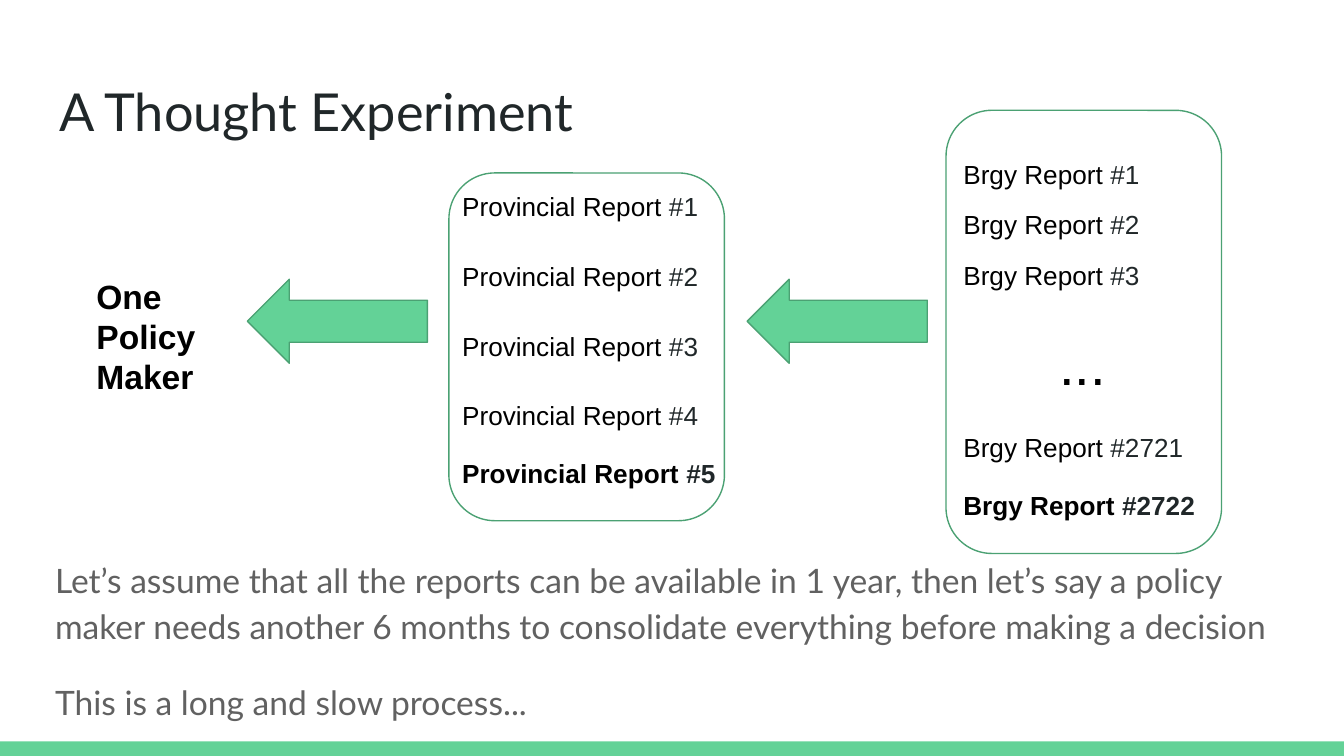
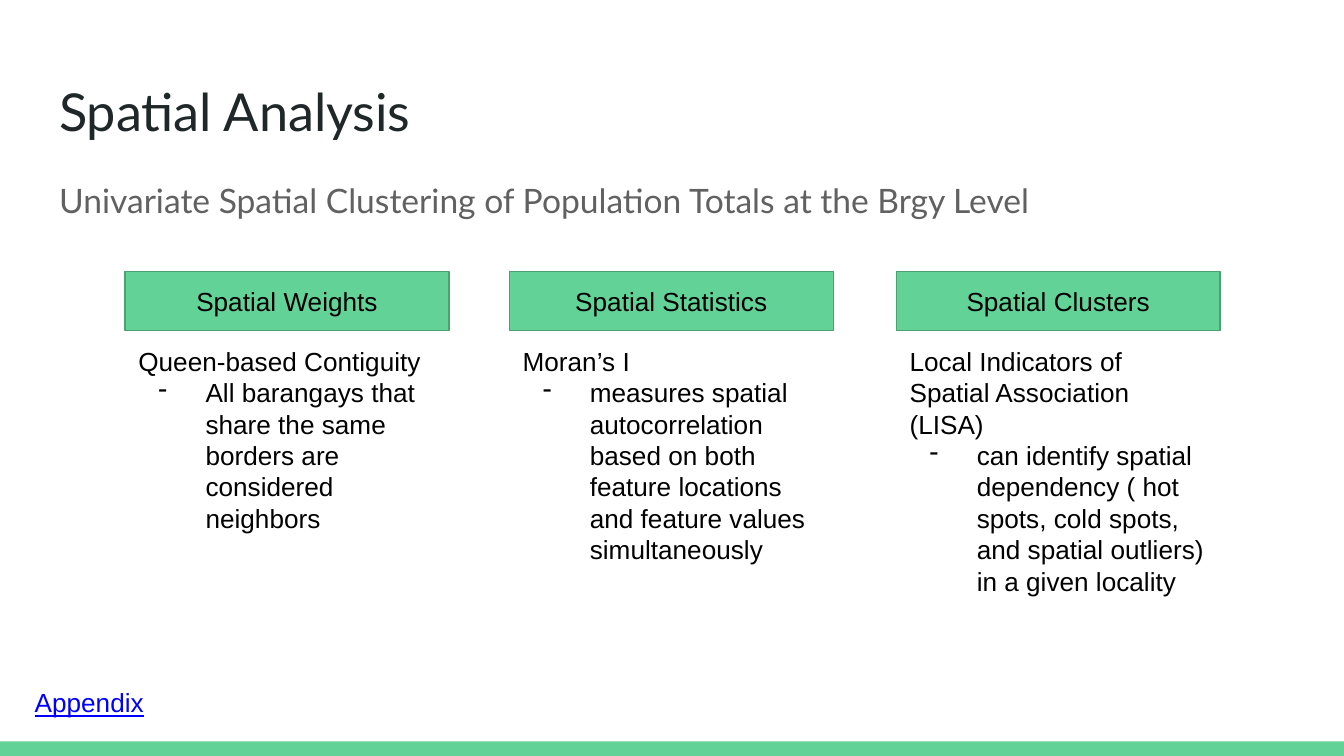
"""Build two slides on barangay reporting and spatial analysis."""
from lxml.etree import SubElement
from pptx import Presentation
from pptx.dml.color import RGBColor
from pptx.enum.shapes import MSO_SHAPE as Preset
from pptx.enum.text import MSO_ANCHOR as Anchor, MSO_AUTO_SIZE as AutoSize, PP_ALIGN as Align
from pptx.oxml.ns import qn
from pptx.util import Pt

GREEN = RGBColor(0x63, 0xD2, 0x97)
DARK_GREEN = RGBColor(0x4B, 0xA1, 0x73)
INK = RGBColor(0x20, 0x27, 0x29)
GRAY = RGBColor(0x61, 0x61, 0x61)
BLACK = RGBColor(0, 0, 0)
LINK_BLUE = RGBColor(0, 0, 0xFF)

HEADING_FONT = "Lato"
TEXT_FONT = "Arial"
SLIDE_WIDTH, SLIDE_HEIGHT = 720, 405
BAND_TOP = 397.2
MARGIN, TEXT_WIDTH = 24.5, 671
INSET = 7.2
LABEL_WIDTH, LABEL_HEIGHT = 142, 28
REPORT_BOX_WIDTH = 147.6
COLUMN_WIDTH = 173.5

PROVINCIAL_LEFT = 240.5
PROVINCIAL_TOPS = [95 + 37.3 * step for step in range(4)]
BRGY_LEFT = 509
BRGY_REPORTS = [("#1", 77.8), ("#2", 104.4), ("#3", 131.8), ("#2721", 223.9)]
ARROW_LEFTS = (132.5, 400.3)

COLUMNS = [
    (67, "Spatial Weights", "Queen-based Contiguity",
     "All barangays that share the same borders are considered neighbors"),
    (272.9, "Spatial Statistics", "Moran’s I",
     "measures spatial autocorrelation based on both feature locations "
     "and feature values simultaneously"),
    (480.2, "Spatial Clusters", "Local Indicators of Spatial Association (LISA)",
     "can identify spatial dependency ( hot spots, cold spots, "
     "and spatial outliers) in a given locality"),
]


def place(shape, left, top, width, height):
    """Move and size a shape, in points."""
    shape.left, shape.top = Pt(left), Pt(top)
    shape.width, shape.height = Pt(width), Pt(height)


def set_frame(shape, anchor=Anchor.TOP):
    """Give a shape's text frame the common insets and return it."""
    frame = shape.text_frame
    frame.word_wrap = True
    frame.auto_size = AutoSize.NONE
    frame.vertical_anchor = anchor
    frame.margin_left = frame.margin_right = Pt(INSET)
    frame.margin_top = frame.margin_bottom = Pt(INSET)
    return frame


def add_span(para, text, size=14, color=BLACK, font=TEXT_FONT, bold=False, underline=False):
    """Add one formatted run to a paragraph."""
    span = para.add_run()
    span.text = text
    span.font.name = font
    span.font.size = Pt(size)
    span.font.bold = bold
    span.font.underline = underline
    span.font.color.rgb = color


def set_bullet(para, char=None, indent=0, hang=0):
    """Set a paragraph's bullet and indents, or clear them."""
    props = para._p.get_or_add_pPr()
    props.set("marL", str(Pt(indent)))
    props.set("indent", str(Pt(-hang)))
    if char:
        color = SubElement(props, qn("a:buClr"))
        SubElement(color, qn("a:srgbClr")).set("val", str(BLACK))
        SubElement(props, qn("a:buChar")).set("char", char)
    else:
        SubElement(props, qn("a:buNone"))


def add_text_box(page, left, top, width, height):
    """Add a text box and return its frame."""
    return set_frame(page.shapes.add_textbox(Pt(left), Pt(top), Pt(width), Pt(height)))


def add_preset(page, preset, left, top, width, height, fill=GREEN, line=DARK_GREEN):
    """Add a preset shape with an optional fill and outline."""
    shape = page.shapes.add_shape(preset, Pt(left), Pt(top), Pt(width), Pt(height))
    shape.shadow.inherit = False
    if fill is None:
        shape.fill.background()
    else:
        shape.fill.solid()
        shape.fill.fore_color.rgb = fill
    if line is None:
        shape.line.fill.background()
    else:
        shape.line.color.rgb = line
        shape.line.width = Pt(0.75)
    return shape


def add_page(deck, title):
    """Add a slide with the bottom band and its title."""
    page = deck.slides.add_slide(deck.slide_layouts[1])
    add_preset(page, Preset.RECTANGLE, 0, BAND_TOP, SLIDE_WIDTH, SLIDE_HEIGHT - BAND_TOP, line=None)
    place(page.shapes.title, MARGIN, 35.3, TEXT_WIDTH, 45.4)
    para = set_frame(page.shapes.title).paragraphs[0]
    para.alignment = Align.LEFT
    add_span(para, title, 28, INK, HEADING_FONT)
    return page


def fill_body(page, left, top, height, texts):
    """Write plain paragraphs in the body placeholder."""
    body = page.placeholders[1]
    place(body, left, top, TEXT_WIDTH, height)
    frame = set_frame(body)
    for index, text in enumerate(texts):
        para = frame.add_paragraph() if index else frame.paragraphs[0]
        para.line_spacing = 1.15
        para.space_before = Pt(16 if index else 0)
        para.space_after = Pt(16 if index == len(texts) - 1 else 0)
        set_bullet(para)
        add_span(para, text, 18, GRAY, HEADING_FONT)


def add_report(page, kind, number, left, top, width=LABEL_WIDTH, bold=False):
    """Add a report label with its number in the ink colour."""
    para = add_text_box(page, left, top, width, LABEL_HEIGHT).paragraphs[0]
    add_span(para, f"{kind} Report ", bold=bold)
    add_span(para, number, color=INK, bold=bold)


def add_column(page, left, heading, topic, detail):
    """Add a green heading with a topic and a dashed detail below."""
    box = add_preset(page, Preset.RECTANGLE, left, 145.4, COLUMN_WIDTH, 31.7)
    para = set_frame(box, Anchor.MIDDLE).paragraphs[0]
    para.alignment = Align.CENTER
    add_span(para, heading)
    frame = add_text_box(page, left, 177.8, COLUMN_WIDTH, 144)
    add_span(frame.paragraphs[0], topic)
    para = frame.add_paragraph()
    set_bullet(para, "-", 36, 25.2)
    add_span(para, detail)


def build_experiment(deck):
    """Build the slide on the flow of reports."""
    page = add_page(deck, "A Thought Experiment")
    fill_body(page, 22.3, 289.4, 31.7, [
        "Let’s assume that all the reports can be available in 1 year, then let’s say "
        "a policy maker needs another 6 months to consolidate everything before making a decision",
        "This is a long and slow process...",
    ])
    frame = add_text_box(page, 44.6, 140.4, 74.2, 63.4)
    add_span(frame.paragraphs[0], "One", 18, bold=True)
    add_span(frame.add_paragraph(), "Policy Maker", 18, bold=True)

    for left, top, height in ((PROVINCIAL_LEFT, 92.7, 186.3), (506.8, 59.1, 237.4)):
        add_preset(page, Preset.ROUNDED_RECTANGLE, left, top, REPORT_BOX_WIDTH, height, fill=None)
    for left in ARROW_LEFTS:
        add_preset(page, Preset.LEFT_ARROW, left, 149.6, 96.5, 45)

    for number, top in enumerate(PROVINCIAL_TOPS, 1):
        add_report(page, "Provincial", f"#{number}", PROVINCIAL_LEFT, top)
    add_report(page, "Provincial", "#5", PROVINCIAL_LEFT, 237.6, 160, True)
    for number, top in BRGY_REPORTS:
        add_report(page, "Brgy", number, BRGY_LEFT, top)
    add_report(page, "Brgy", "#2722", BRGY_LEFT, 254.9, bold=True)
    para = add_text_box(page, BRGY_LEFT, 169.2, LABEL_WIDTH, LABEL_HEIGHT).paragraphs[0]
    para.alignment = Align.CENTER
    add_span(para, "...", 30)


def build_analysis(deck):
    """Build the slide on the three parts of the analysis."""
    page = add_page(deck, "Spatial Analysis")
    fill_body(page, MARGIN, 85.7, 34.6,
              ["Univariate Spatial Clustering of Population Totals at the Brgy Level"])
    for column in COLUMNS:
        add_column(page, *column)
    frame = add_text_box(page, 11.5, 360.7, 100.8, 31.7)
    add_span(frame.paragraphs[0], "Appendix", color=LINK_BLUE, underline=True)


def main():
    """Build and save the deck."""
    deck = Presentation()
    deck.slide_width, deck.slide_height = Pt(SLIDE_WIDTH), Pt(SLIDE_HEIGHT)
    build_experiment(deck)
    build_analysis(deck)
    deck.save("out.pptx")


if __name__ == "__main__":
    main()
